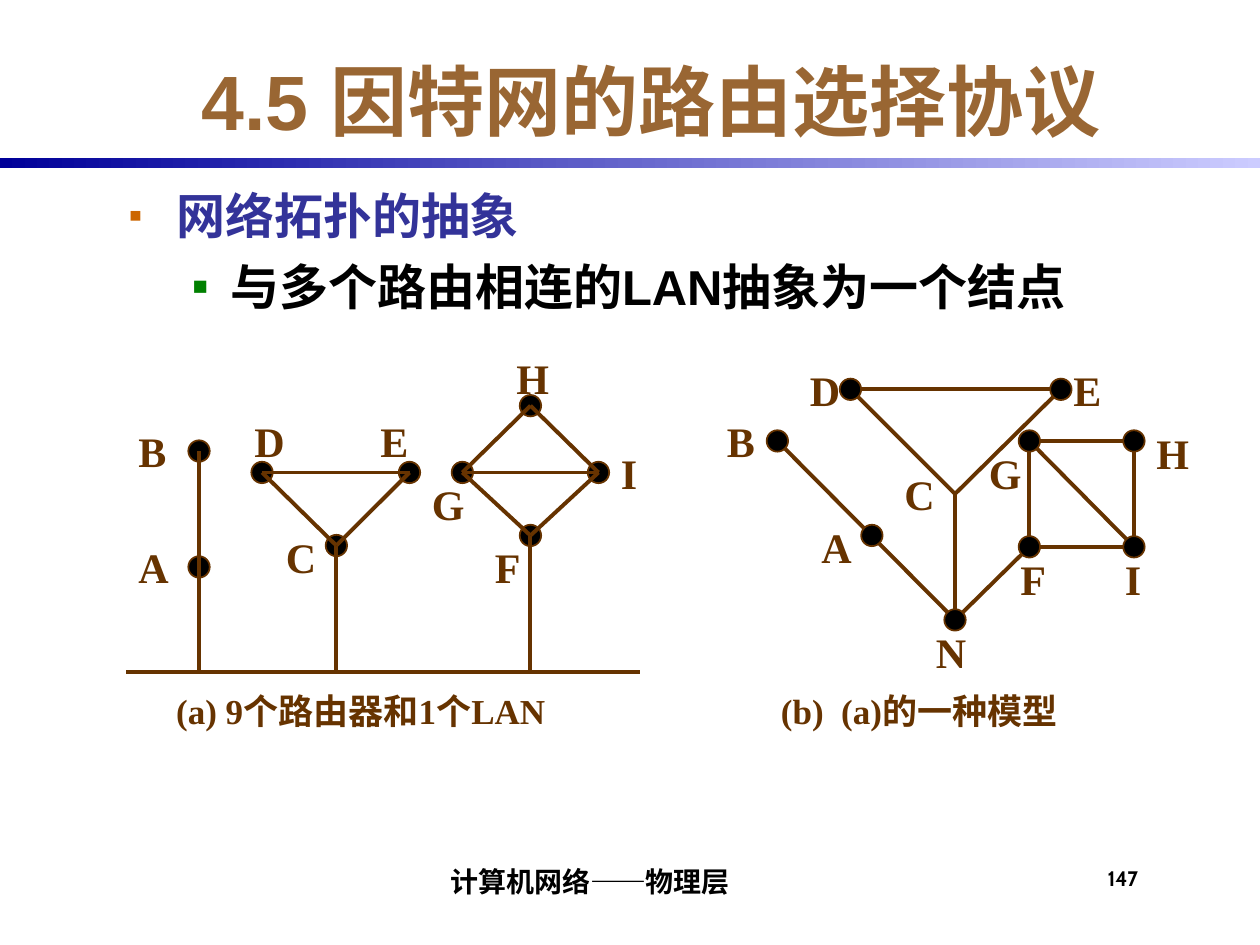
from lxml import etree
from pptx import Presentation
from pptx import util as u
from pptx.dml.color import RGBColor
from pptx.enum import shapes, text
from pptx.oxml.ns import qn

BLACK = RGBColor(0x00, 0x00, 0x00)
BROWN = RGBColor(0x66, 0x33, 0x00)
TAN = RGBColor(0x99, 0x66, 0x33)
INDIGO = RGBColor(0x33, 0x33, 0x99)
ORANGE = RGBColor(0xCC, 0x66, 0x00)
GREEN = RGBColor(0x00, 0x80, 0x00)
NAVY = RGBColor(0x00, 0x00, 0x99)
LAVENDER = RGBColor(0xCC, 0xCC, 0xFF)

DOT = 0.17
LAN_Y = 5.33

# Each node: centre of the dot, then left and top of its label.
LAN_NODES = {
    "B": (1.58, 3.58, 1, 3.33), "A": (1.58, 4.5, 1, 4.25),
    "D": (2.08, 3.75, 1.92, 3.25), "E": (3.25, 3.75, 2.92, 3.25),
    "C": (2.67, 4.33, 2.17, 4.17), "G": (3.67, 3.75, 3.33, 3.75),
    "I": (4.75, 3.75, 4.83, 3.5), "F": (4.21, 4.25, 3.83, 4.25),
    "H": (4.21, 3.22, 4, 2.75),
}
LAN_EDGES = "BA DE DC EC GI GF FI GH IH".split()
LAN_TAPS = "ACF"

MODEL_NODES = {
    "N": (7.58, 4.92, 7.33, 4.92), "F": (8.17, 4.34, 8, 4.34),
    "I": (9, 4.34, 8.83, 4.34), "H": (9, 3.5, 9.08, 3.34),
    "G": (8.17, 3.5, 7.75, 3.5), "E": (8.42, 3.09, 8.42, 2.84),
    "D": (6.75, 3.09, 6.33, 2.84), "C": (7.58, 3.92, 7.08, 3.67),
    "A": (6.92, 4.25, 6.42, 4.09), "B": (6.17, 3.5, 5.67, 3.25),
}
MODEL_EDGES = "GH HI IF FG FN NB NC GI CE CD ED".split()


def place(shape, left, top, width, height):
    shape.left, shape.top = u.Inches(left), u.Inches(top)
    shape.width, shape.height = u.Inches(width), u.Inches(height)


def write(para, words, *, size, color, font="Times New Roman", align=None):
    span = para.add_run()
    span.text = words
    span.font.size = u.Pt(size)
    span.font.name = font
    span.font.bold = True
    span.font.color.rgb = color
    if align is not None:
        para.alignment = align


def add_text(page, words, left, top, width, height, *, anchor=text.MSO_ANCHOR.TOP,
             margins=(0.1, 0.05, 0.1, 0.05), **style):
    box = page.shapes.add_textbox(*map(u.Inches, (left, top, width, height)))
    frame = box.text_frame
    frame.word_wrap = True
    frame.vertical_anchor = anchor
    (frame.margin_left, frame.margin_top,
     frame.margin_right, frame.margin_bottom) = map(u.Inches, margins)
    write(frame.paragraphs[0], words, **style)


def add_line(page, start, end):
    line = page.shapes.add_connector(
        shapes.MSO_CONNECTOR.STRAIGHT, *map(u.Inches, (*start, *end)))
    line.line.color.rgb = BROWN
    line.line.width = u.Pt(2.25)
    etree.SubElement(line._element.spPr, qn("a:effectLst"))


def add_dot(page, x, y):
    dot = page.shapes.add_shape(
        shapes.MSO_SHAPE.OVAL,
        *map(u.Inches, (x - DOT / 2, y - DOT / 2, DOT, DOT)))
    dot.shadow.inherit = False
    dot.fill.solid()
    dot.fill.fore_color.rgb = BLACK
    dot.line.color.rgb = BROWN
    dot.line.width = u.Pt(1)


def add_dots(page, nodes, hidden=""):
    for name, (x, y, _, _) in nodes.items():
        if name not in hidden:
            add_dot(page, x, y)


def add_edges(page, nodes, edges):
    for first, second in edges:
        add_line(page, nodes[first][:2], nodes[second][:2])


def add_labels(page, nodes):
    for name, (_, _, left, top) in nodes.items():
        add_text(page, name, left, top, 0.42, 0.5, size=24, color=BROWN)


def add_lan(page):
    """Draw the shared line and the taps that join routers to it."""
    add_line(page, (1, LAN_Y), (5.08, LAN_Y))
    for name in LAN_TAPS:
        x, y = LAN_NODES[name][:2]
        add_line(page, (x, y), (x, LAN_Y))


def add_rule(page):
    rule = page.shapes.add_shape(
        shapes.MSO_SHAPE.RECTANGLE, *map(u.Inches, (0, 1.25, 10, 0.08)))
    rule.shadow.inherit = False
    rule.line.fill.background()
    rule.fill.gradient()
    rule.fill.gradient_angle = 0
    for stop, color in zip(rule.fill.gradient_stops, (NAVY, LAVENDER)):
        stop.color.rgb = color


def set_bullet(para, color, percent, left, hanging):
    props = para._p.get_or_add_pPr()
    props.set("marL", str(u.Inches(left)))
    props.set("indent", str(-u.Inches(hanging)))
    tint = etree.SubElement(props, qn("a:buClr"))
    etree.SubElement(tint, qn("a:srgbClr"), val=str(color))
    etree.SubElement(props, qn("a:buSzPct"), val=str(percent * 1000))
    etree.SubElement(props, qn("a:buFont"), typeface="Arial")
    etree.SubElement(props, qn("a:buChar"), char="▪")


def fill_title(page):
    title = page.shapes.title
    place(title, 0.92, 0.33, 8.5, 0.92)
    frame = title.text_frame
    frame.auto_size = text.MSO_AUTO_SIZE.NONE
    frame.vertical_anchor = text.MSO_ANCHOR.MIDDLE
    write(frame.paragraphs[0], "4.5 因特网的路由选择协议", size=44, color=TAN,
          font="Arial", align=text.PP_ALIGN.CENTER)


def fill_body(page):
    body = page.placeholders[1]
    place(body, 0.92, 1.42, 8.5, 5)
    frame = body.text_frame
    frame.auto_size = text.MSO_AUTO_SIZE.NONE
    topic = frame.paragraphs[0]
    set_bullet(topic, ORANGE, 80, 0.38, 0.38)
    topic.space_before = u.Pt(0)
    write(topic, "网络拓扑的抽象", size=28, color=INDIGO, font="Arial")
    detail = frame.add_paragraph()
    detail.level = 1
    set_bullet(detail, GREEN, 100, 0.81, 0.31)
    detail.space_before = u.Pt(7)
    write(detail, "与多个路由相连的LAN抽象为一个结点", size=28, color=BLACK, font="Arial")


def main():
    deck = Presentation()
    deck.slide_width, deck.slide_height = u.Inches(10), u.Inches(7.5)
    page = deck.slides.add_slide(deck.slide_layouts[1])
    fill_title(page)
    fill_body(page)
    add_rule(page)

    add_dots(page, LAN_NODES)
    add_edges(page, LAN_NODES, LAN_EDGES)
    add_lan(page)
    add_labels(page, LAN_NODES)

    add_edges(page, MODEL_NODES, MODEL_EDGES)
    add_dots(page, MODEL_NODES, hidden="C")
    add_labels(page, MODEL_NODES)

    for words, left in (("(a) 9个路由器和1个LAN", 1.3), ("(b)  (a)的一种模型", 6.1)):
        add_text(page, words, left, 5.42, 3.6, 0.43, size=20, color=BROWN)

    add_text(page, "计算机网络——物理层", 2.08, 6.75, 5.17, 0.42,
             anchor=text.MSO_ANCHOR.BOTTOM, margins=(0.04, 0, 0, 0.04),
             size=16, color=BLACK, font="Cabin", align=text.PP_ALIGN.CENTER)
    add_text(page, "147", 8.75, 6.83, 0.58, 0.42, margins=(0.04, 0.04, 0, 0),
             size=12, color=BLACK, font="Cabin")
    deck.save("out.pptx")


if __name__ == "__main__":
    main()
